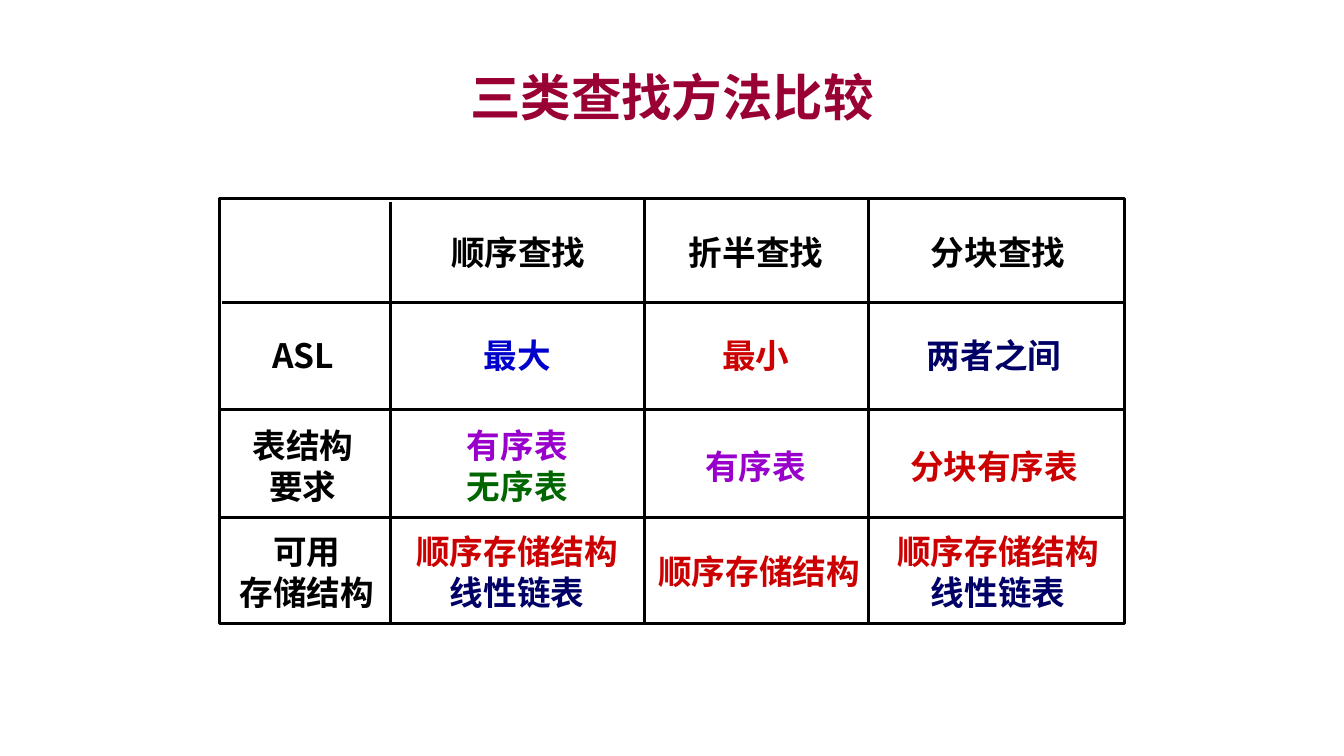
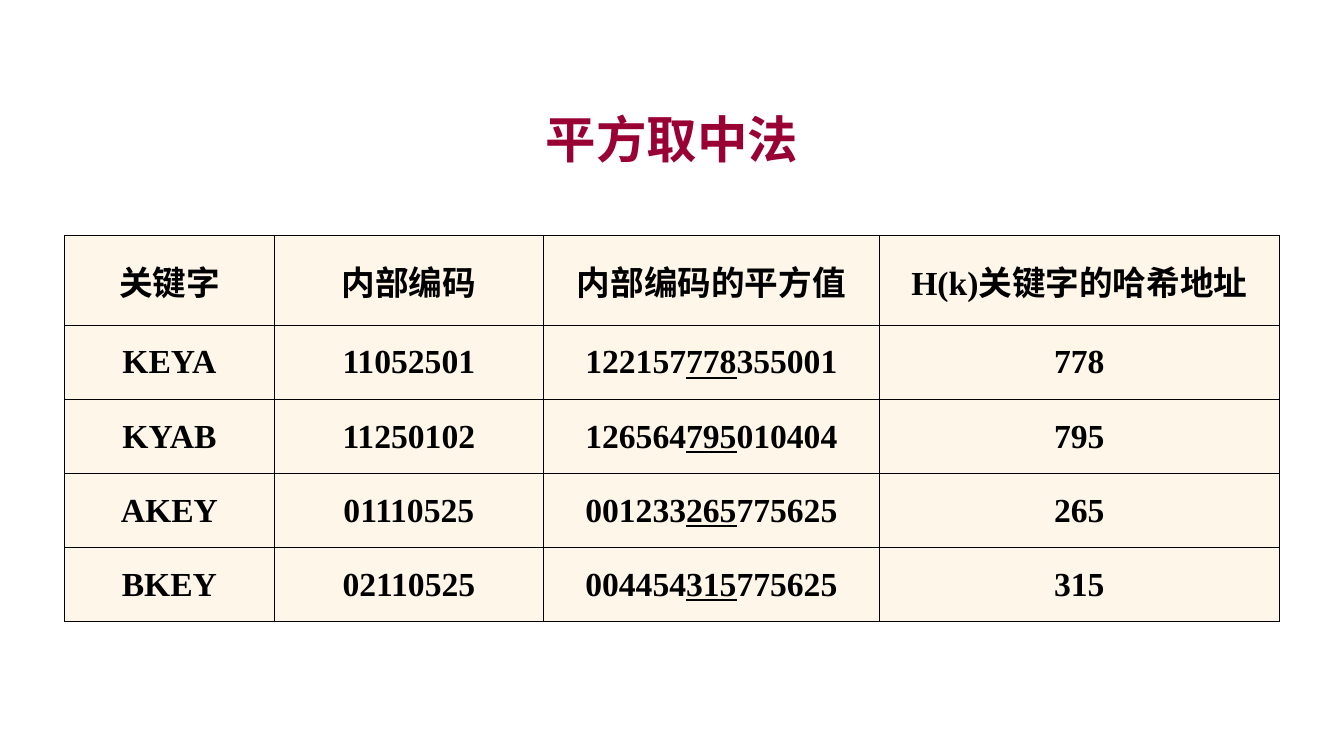
"""Builds two slides of tables on search methods and the mid-square hash."""
from lxml import etree
from pptx import Presentation
from pptx.dml.color import RGBColor
from pptx.enum.shapes import MSO_CONNECTOR, MSO_SHAPE
from pptx.enum.text import MSO_ANCHOR, PP_ALIGN
from pptx.oxml.ns import qn
from pptx.util import Inches, Pt

CENTER = PP_ALIGN.CENTER
MIDDLE = MSO_ANCHOR.MIDDLE
RECTANGLE = MSO_SHAPE.RECTANGLE
STRAIGHT = MSO_CONNECTOR.STRAIGHT

BLACK = RGBColor(0x00, 0x00, 0x00)
CRIMSON = RGBColor(0x99, 0x00, 0x33)
BLUE = RGBColor(0x00, 0x00, 0xCC)
NAVY = RGBColor(0x00, 0x00, 0x66)
RED = RGBColor(0xCC, 0x00, 0x00)
PURPLE = RGBColor(0x99, 0x00, 0xCC)
GREEN = RGBColor(0x00, 0x66, 0x00)
CREAM = RGBColor(0xFF, 0xF6, 0xEA)

SANS = "Noto Sans CJK SC"
SERIF = "Times New Roman"
TITLE_ONLY = 5
BODY_SIZE = 24

SEQUENTIAL = ("顺序存储结构", RED)
LINKED = ("线性链表", NAVY)
SORTED = ("有序表", PURPLE)

COMPARISON_ROWS = [
    (2.47, [
        (3.93, 2.42, [("顺序查找", BLACK)]),
        (6.45, 2.1, [("折半查找", BLACK)]),
        (8.64, 2.52, [("分块查找", BLACK)]),
    ]),
    (3.49, [
        (2.18, 1.65, [("ASL", BLACK)]),
        (3.91, 2.44, [("最大", BLUE)]),
        (6.43, 2.13, [("最小", RED)]),
        (8.64, 2.44, [("两者之间", NAVY)]),
    ]),
    (4.59, [
        (2.18, 1.65, [("表结构", BLACK), ("要求", BLACK)]),
        (3.99, 2.28, [SORTED, ("无序表", GREEN)]),
        (6.43, 2.13, [SORTED]),
        (8.64, 2.44, [("分块有序表", RED)]),
    ]),
    (5.64, [
        (2.26, 1.57, [("可用", BLACK), ("存储结构", BLACK)]),
        (3.91, 2.44, [SEQUENTIAL, LINKED]),
        (6.43, 2.2, [SEQUENTIAL]),
        (8.72, 2.36, [SEQUENTIAL, LINKED]),
    ]),
]
LINE_HEIGHT = 0.4
LINE_SPACING = 28.8
FRAME_LEFT, FRAME_TOP, FRAME_RIGHT, FRAME_BOTTOM = 2.18, 1.97, 11.15, 6.19
COLUMN_RULES = [(3.87, 2), (6.39, FRAME_TOP), (8.61, FRAME_TOP)]
ROW_RULES = [(3, 2.2), (4.06, FRAME_LEFT), (5.13, FRAME_LEFT)]
RULE_WIDTH = 2.25

HASH_HEADER = ["关键字", "内部编码", "内部编码的平方值", "H(k)关键字的哈希地址"]
HASH_KEYS = [
    ("KEYA", "11052501", "122157778355001"),
    ("KYAB", "11250102", "126564795010404"),
    ("AKEY", "01110525", "001233265775625"),
    ("BKEY", "02110525", "004454315775625"),
]
HASH_COLUMNS = [2.08, 2.67, 3.33, 3.97]
HASH_HEADER_HEIGHT = 0.89
HASH_HEIGHT = 3.83
MIDDLE_START, MIDDLE_END = 6, 9


def write_text(frame, paragraphs, font=SANS, size=BODY_SIZE, spacing=None, wrap=True):
    """Write paragraphs, each a list of (text, colour, underline) runs."""
    frame.word_wrap = wrap
    for index, runs in enumerate(paragraphs):
        paragraph = frame.paragraphs[0] if index == 0 else frame.add_paragraph()
        paragraph.alignment = CENTER
        if spacing:
            paragraph.line_spacing = Pt(spacing)
        for text, color, underline in runs:
            run = paragraph.add_run()
            run.text = text
            run.font.name = font
            run.font.size = Pt(size)
            run.font.bold = True
            run.font.color.rgb = color
            if underline:
                run.font.underline = True
            etree.SubElement(run.font._element, qn("a:ea"), typeface=SANS)


def plain(text, color=BLACK):
    """Return one paragraph of a single run."""
    return [(text, color, False)]


def add_titled_slide(presentation, title, top):
    """Add a slide with the shared title style."""
    slide = presentation.slides.add_slide(presentation.slide_layouts[TITLE_ONLY])
    shape = slide.shapes.title
    shape.left, shape.top = Inches(1), Inches(top)
    shape.width, shape.height = Inches(11.33), Inches(0.75)
    shape.text_frame.vertical_anchor = MIDDLE
    write_text(shape.text_frame, [plain(title, CRIMSON)], size=36)
    return slide


def add_label(slide, left, middle, width, lines):
    """Add a text box of coloured lines centred on a height."""
    height = LINE_HEIGHT * len(lines) + 0.1
    box = slide.shapes.add_textbox(Inches(left), Inches(middle - height / 2),
                                   Inches(width), Inches(height))
    frame = box.text_frame
    frame.margin_top, frame.margin_bottom = Inches(0.08), Inches(0.02)
    room = box.width - frame.margin_left - frame.margin_right
    longest = max(len(text) for text, _ in lines)
    write_text(frame, [plain(*line) for line in lines], spacing=LINE_SPACING,
               wrap=Pt(BODY_SIZE) * longest < room)


def add_rule(slide, start_x, start_y, end_x, end_y):
    """Add a straight black rule."""
    rule = slide.shapes.add_connector(STRAIGHT, Inches(start_x), Inches(start_y),
                                      Inches(end_x), Inches(end_y))
    rule.line.color.rgb = BLACK
    rule.line.width = Pt(RULE_WIDTH)
    etree.SubElement(rule._element.spPr, qn("a:effectLst"))


def add_frame(slide):
    """Add the outline around the comparison."""
    outline = slide.shapes.add_shape(RECTANGLE, Inches(FRAME_LEFT), Inches(FRAME_TOP),
                                     Inches(FRAME_RIGHT - FRAME_LEFT),
                                     Inches(FRAME_BOTTOM - FRAME_TOP))
    outline.shadow.inherit = False
    outline.fill.background()
    outline.line.color.rgb = BLACK
    outline.line.width = Pt(RULE_WIDTH)


def add_borders(cell, width):
    """Draw a black line on each side of a cell."""
    properties = cell._tc.get_or_add_tcPr()
    for side in ("a:lnL", "a:lnR", "a:lnT", "a:lnB"):
        line = etree.SubElement(properties, qn(side), w=str(Pt(width)))
        fill = etree.SubElement(line, qn("a:solidFill"))
        etree.SubElement(fill, qn("a:srgbClr"), val=str(BLACK))


def add_grid(slide, rows, left, top, widths, heights):
    """Add a ruled table whose cells are single paragraphs."""
    frame = slide.shapes.add_table(len(rows), len(widths), Inches(left), Inches(top),
                                   Inches(sum(widths)), Inches(sum(heights)))
    table = frame.table
    table.first_row = table.horz_banding = False
    for column, width in zip(table.columns, widths):
        column.width = Inches(width)
    for row, height, contents in zip(table.rows, heights, rows):
        row.height = Inches(height)
        for cell, runs in zip(row.cells, contents):
            cell.vertical_anchor = MIDDLE
            cell.margin_left = cell.margin_right = Inches(0.07)
            cell.margin_top = cell.margin_bottom = 0
            add_borders(cell, 1)
            cell.fill.solid()
            cell.fill.fore_color.rgb = CREAM
            write_text(cell.text_frame, [runs], font=SERIF)


def build_comparison(presentation):
    """Build the slide that compares three search methods."""
    slide = add_titled_slide(presentation, "三类查找方法比较", 0.58)
    for middle, labels in COMPARISON_ROWS:
        for left, width, lines in labels:
            add_label(slide, left, middle, width, lines)
    add_frame(slide)
    for x, top in COLUMN_RULES:
        add_rule(slide, x, top, x, FRAME_BOTTOM)
    for y, left in ROW_RULES:
        add_rule(slide, left, y, FRAME_RIGHT, y)


def build_hash(presentation):
    """Build the slide on the mid-square method."""
    slide = add_titled_slide(presentation, "平方取中法", 1)
    rows = [[plain(text) for text in HASH_HEADER]]
    for key, code, square in HASH_KEYS:
        address = square[MIDDLE_START:MIDDLE_END]
        square_runs = [(square[:MIDDLE_START], BLACK, False), (address, BLACK, True),
                       (square[MIDDLE_END:], BLACK, False)]
        rows.append([plain(key), plain(code), square_runs, plain(address)])
    key_height = (HASH_HEIGHT - HASH_HEADER_HEIGHT) / len(HASH_KEYS)
    heights = [HASH_HEADER_HEIGHT] + [key_height] * len(HASH_KEYS)
    add_grid(slide, rows, 0.64, 2.34, HASH_COLUMNS, heights)


def main():
    """Build and save the presentation."""
    presentation = Presentation()
    presentation.slide_width, presentation.slide_height = Inches(13.33), Inches(7.5)
    build_comparison(presentation)
    build_hash(presentation)
    presentation.save("out.pptx")


if __name__ == "__main__":
    main()
